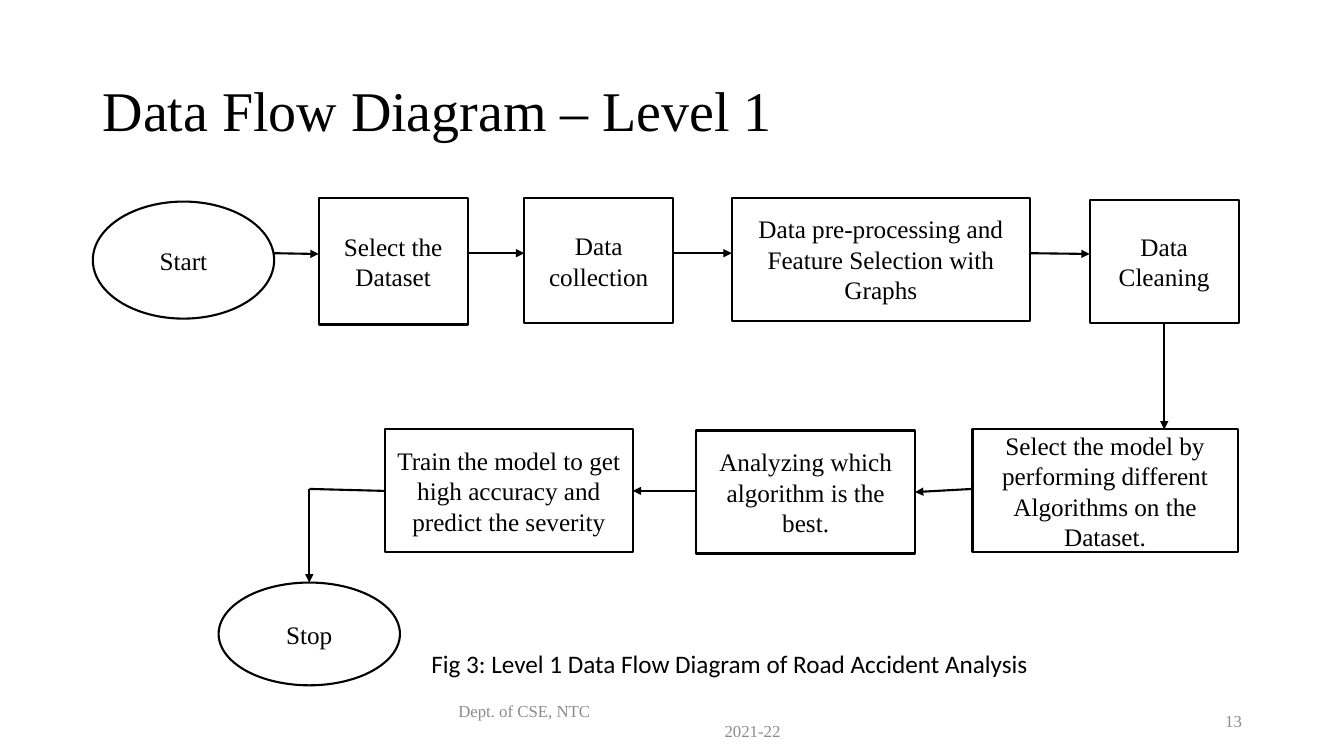
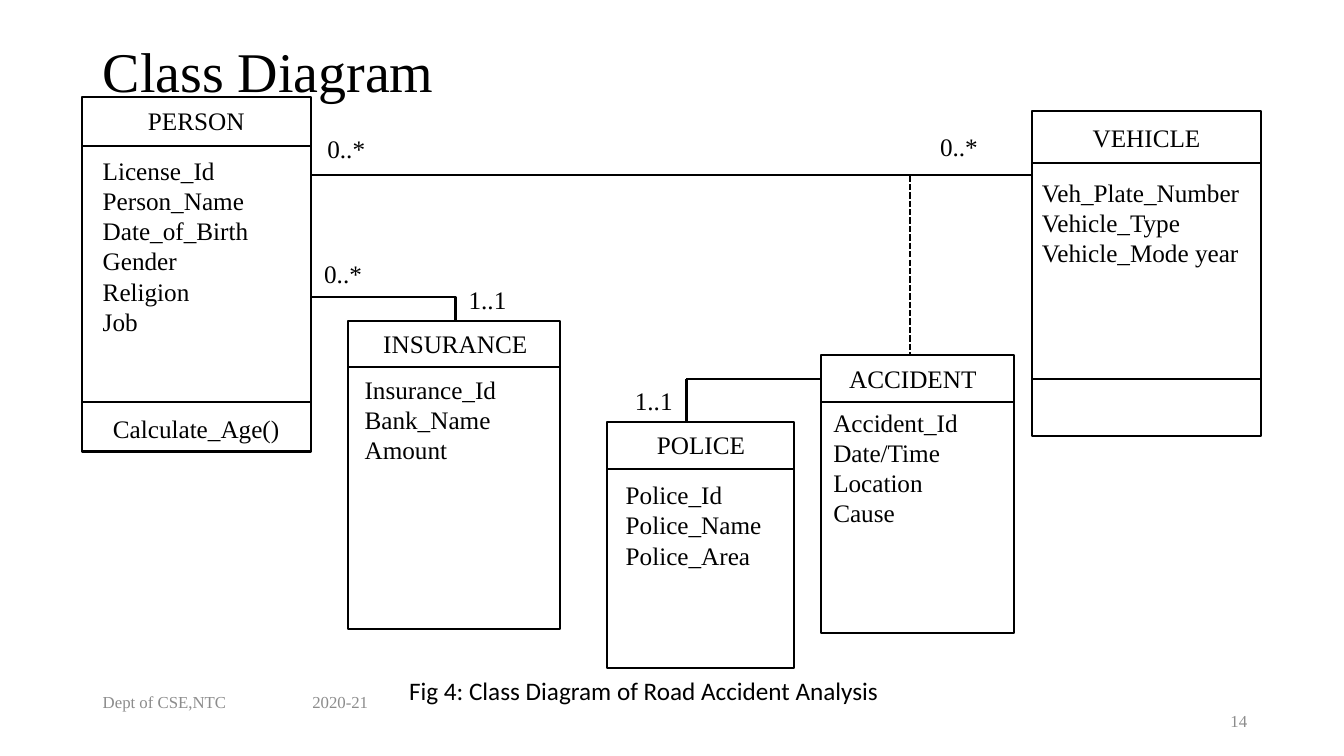
from dataclasses import dataclass
from typing import Any, NamedTuple, Optional

from lxml import etree
from pptx import Presentation
from pptx.dml.color import RGBColor
from pptx.enum.dml import MSO_LINE
from pptx.enum.shapes import MSO_CONNECTOR, MSO_SHAPE
from pptx.enum.text import MSO_ANCHOR, PP_ALIGN
from pptx.oxml.ns import qn
from pptx.util import Cm, Pt

RECTANGLE, ELLIPSE = MSO_SHAPE.RECTANGLE, MSO_SHAPE.OVAL
STRAIGHT, ELBOW = MSO_CONNECTOR.STRAIGHT, MSO_CONNECTOR.ELBOW
LEFT, CENTER, RIGHT = PP_ALIGN.LEFT, PP_ALIGN.CENTER, PP_ALIGN.RIGHT
TOP, MIDDLE = MSO_ANCHOR.TOP, MSO_ANCHOR.MIDDLE
DASH = MSO_LINE.SQUARE_DOT


@dataclass(frozen=True)
class Theme:
    ink: RGBColor = RGBColor(0x00, 0x00, 0x00)
    paper: RGBColor = RGBColor(0xFF, 0xFF, 0xFF)
    muted: RGBColor = RGBColor(0x8C, 0x8C, 0x8C)
    serif: str = "Times New Roman"
    sans: str = "Calibri"
    title_size: int = 40
    body_size: int = 18
    footer_size: int = 12
    line_width: float = 1.5


THEME = Theme()
LINE_HEIGHT = 1.02
NAME_WIDTH = 5.77


class TextStyle(NamedTuple):
    size: int = THEME.body_size
    name: str = THEME.serif
    color: RGBColor = THEME.ink
    alignment: Any = LEFT
    anchor: Any = TOP
    line_spacing: Optional[float] = None


TITLE = TextStyle(THEME.title_size, anchor=MIDDLE, line_spacing=0.9)
BODY = TextStyle()
CENTERED = TextStyle(alignment=CENTER)
NODE = TextStyle(alignment=CENTER, anchor=MIDDLE)
CAPTION = TextStyle(name=THEME.sans)
FOOTER = TextStyle(THEME.footer_size, color=THEME.muted, anchor=MIDDLE)


class Point(NamedTuple):
    x: float
    y: float


class Box(NamedTuple):
    left: float
    top: float
    width: float
    height: float = LINE_HEIGHT

    @property
    def right(self) -> float:
        return self.left + self.width

    @property
    def bottom(self) -> float:
        return self.top + self.height

    @property
    def center(self) -> float:
        return self.left + self.width / 2


class Label(NamedTuple):
    text: str
    box: Box
    style: TextStyle = BODY


@dataclass(frozen=True)
class Node:
    text: str
    box: Box
    preset: Any = RECTANGLE


@dataclass(frozen=True)
class Link:
    start: Point
    end: Point
    arrow: bool = False
    dashed: bool = False
    bent: bool = False


@dataclass(frozen=True)
class ClassBox:
    name: str
    frame: Box
    name_at: Point
    attributes: str
    attributes_box: Box
    dividers: tuple[float, ...]


def write_text(shape: Any, text: str, style: TextStyle) -> None:
    frame = shape.text_frame
    for attribute, value in {"word_wrap": True, "vertical_anchor": style.anchor}.items():
        setattr(frame, attribute, value)
    frame.text = text
    for paragraph in frame.paragraphs:
        paragraph.alignment = style.alignment
        paragraph.line_spacing = style.line_spacing
        for attribute, value in {"name": style.name, "size": Pt(style.size)}.items():
            setattr(paragraph.runs[0].font, attribute, value)
        paragraph.runs[0].font.color.rgb = style.color


def add_label(slide: Any, label: Label) -> None:
    shape = slide.shapes.add_textbox(*map(Cm, label.box))
    write_text(shape, label.text, label.style)


def set_line(line: Any) -> None:
    line.color.rgb = THEME.ink
    line.width = Pt(THEME.line_width)


def add_outline(slide: Any, box: Box, preset: Any = RECTANGLE) -> Any:
    shape = slide.shapes.add_shape(preset, *map(Cm, box))
    shape.shadow.inherit = False
    shape.fill.background()
    set_line(shape.line)
    return shape


def add_node(slide: Any, node: Node) -> None:
    shape = add_outline(slide, node.box, node.preset)
    shape.fill.solid()
    shape.fill.fore_color.rgb = THEME.paper
    write_text(shape, node.text, NODE)


def add_link(slide: Any, link: Link) -> None:
    connector = slide.shapes.add_connector(
        ELBOW if link.bent else STRAIGHT, *map(Cm, link.start + link.end)
    )
    set_line(connector.line)
    if link.dashed:
        connector.line.dash_style = DASH
    properties = connector.element.spPr
    if link.bent:
        properties.find(qn("a:prstGeom")).set("prst", "bentConnector2")
    if link.arrow:
        etree.SubElement(properties.find(qn("a:ln")), qn("a:tailEnd"), type="triangle")
    etree.SubElement(properties, qn("a:effectLst"))


def add_class(slide: Any, item: ClassBox) -> None:
    add_outline(slide, item.frame)
    for y in item.dividers:
        add_link(slide, Link(Point(item.frame.left, y), Point(item.frame.right, y)))
    add_label(slide, Label(item.name, Box(*item.name_at, NAME_WIDTH), CENTERED))
    add_label(slide, Label(item.attributes, item.attributes_box))


def start_slide(presentation: Any, title: str, title_top: float, labels: list[Label]) -> Any:
    slide = presentation.slides.add_slide(presentation.slide_layouts[6])
    add_label(slide, Label(title, Box(2.34, title_top, 29.21, 3.68), TITLE))
    for label in labels:
        add_label(slide, label)
    return slide


def build_flow(presentation: Any) -> None:
    slide = start_slide(presentation, "Data Flow Diagram – Level 1", 1.02, [
        Label("Fig 3: Level 1 Data Flow Diagram of Road Accident Analysis",
              Box(10.62, 16.21, 16.46), CAPTION),
        Label("Dept. of CSE, NTC", Box(11.3, 17.4, 5), FOOTER),
        Label("2021-22", Box(18.01, 17.91, 3), FOOTER),
        Label("13", Box(23.93, 17.65, 7.62), FOOTER._replace(alignment=RIGHT)),
    ])
    upper = [
        Node("Start", Box(2.34, 5.08, 4.57, 2.95), ELLIPSE),
        Node("Select the Dataset", Box(8.03, 4.98, 3.76, 3.2)),
        Node("Data collection", Box(13.21, 5, 3.76, 3.15)),
        Node("Data pre-processing and Feature Selection with Graphs",
             Box(18.44, 4.98, 7.52, 3.1)),
        Node("Data Cleaning", Box(27.46, 5.03, 3.76, 3.1)),
    ]
    lower = [
        Node("Select the model by performing different Algorithms on the Dataset.",
             Box(24.51, 10.82, 6.68, 3.1)),
        Node("Analyzing which algorithm is the best.", Box(17.55, 10.85, 5.51, 3.1)),
        Node("Train the model to get high accuracy and predict the severity",
             Box(9.7, 10.82, 6.25, 3.1)),
    ]
    stop = Node("Stop", Box(5.51, 14.68, 4.57, 2.59), ELLIPSE)
    for node in [*upper, *lower, stop]:
        add_node(slide, node)

    upper_heights = [(6.38, 6.4), (6.38, 6.38), (6.38, 6.38), (6.38, 6.4)]
    for source, target, (start_y, end_y) in zip(upper, upper[1:], upper_heights):
        add_link(slide, Link(Point(source.box.right, start_y),
                             Point(target.box.left, end_y), arrow=True))
    lower_heights = [(12.32, 12.4), (12.37, 12.37)]
    for source, target, (start_y, end_y) in zip(lower, lower[1:], lower_heights):
        add_link(slide, Link(Point(source.box.left, start_y),
                             Point(target.box.right, end_y), arrow=True))
    cleaning, model, train = upper[-1].box, lower[0].box, lower[-1].box
    corner = Point(stop.box.center, 12.32)
    add_link(slide, Link(Point(cleaning.center, cleaning.bottom),
                         Point(cleaning.center, model.top), arrow=True))
    add_link(slide, Link(Point(train.left, 12.37), corner))
    add_link(slide, Link(corner, Point(corner.x, stop.box.top), arrow=True))


def build_classes(presentation: Any) -> None:
    slide = start_slide(presentation, "Class Diagram", 0.03, [
        Label("Fig 4: Class Diagram of Road Accident Analysis",
              Box(10.06, 16.89, 16.46), CAPTION),
        Label("Dept of CSE,NTC", Box(2.34, 17.17, 5), FOOTER),
        Label("2020-21", Box(7.62, 17.17, 3), FOOTER),
        Label("14", Box(29, 17.65, 4.44), FOOTER._replace(alignment=CENTER)),
    ])
    person = ClassBox(
        "PERSON", Box(2.06, 2.44, 5.77, 8.94), Point(2.06, 2.54),
        "License_Id\nPerson_Name\nDate_of_Birth\nGender\nReligion\nJob",
        Box(2.34, 3.78, 5.11, 4.88), (3.68, 10.13))
    vehicle = ClassBox(
        "VEHICLE", Box(26.01, 2.79, 5.77, 8.2), Point(26.01, 2.97),
        "Veh_Plate_Number\nVehicle_Type\nVehicle_Mode year",
        Box(26.01, 4.34, 5.77, 2.57), (4.11, 9.55))
    accident = ClassBox(
        "ACCIDENT", Box(20.68, 8.94, 4.88, 7.01), Point(20.12, 9.04),
        "Accident_Id\nDate/Time\nLocation\nCause",
        Box(20.75, 10.13, 4.39, 3.33), (10.13,))
    police = ClassBox(
        "POLICE", Box(15.29, 10.64, 4.72, 6.2), Point(14.78, 10.69),
        "Police_Id\nPolice_Name\nPolice_Area",
        Box(15.52, 11.96, 4.27, 2.57), (11.81,))
    insurance = ClassBox(
        "INSURANCE", Box(8.76, 8.08, 5.36, 7.77), Point(8.59, 8.15),
        "Insurance_Id\nBank_Name\nAmount",
        Box(8.94, 9.3, 4.27, 2.57), (9.25,))
    for item in (person, vehicle, accident, police, insurance):
        add_class(slide, item)
    add_label(slide, Label("Calculate_Age()", Box(2.06, 10.29, NAME_WIDTH), CENTERED))

    ownership_y = 4.42
    police_corner = Point(17.3, 9.55)
    for link in (
        Link(Point(person.frame.right, ownership_y), Point(vehicle.frame.left, ownership_y)),
        Link(Point(22.94, ownership_y), Point(22.94, accident.frame.top), dashed=True),
        Link(Point(person.frame.right, 7.49), Point(11.48, insurance.frame.top), bent=True),
        Link(Point(accident.frame.left, police_corner.y), police_corner),
        Link(police_corner, Point(police_corner.x, police.frame.top)),
    ):
        add_link(slide, link)
    for text, left, top in (
        ("0..*", 8, 3.23), ("0..*", 23.44, 3.18), ("0..*", 7.92, 6.38),
        ("1..1", 11.56, 7.04), ("1..1", 15.75, 9.58),
    ):
        add_label(slide, Label(text, Box(left, top, 2.34)))


def main() -> None:
    presentation = Presentation()
    presentation.slide_width = Cm(33.87)
    presentation.slide_height = Cm(19.05)
    build_flow(presentation)
    build_classes(presentation)
    presentation.save("out.pptx")


main()
